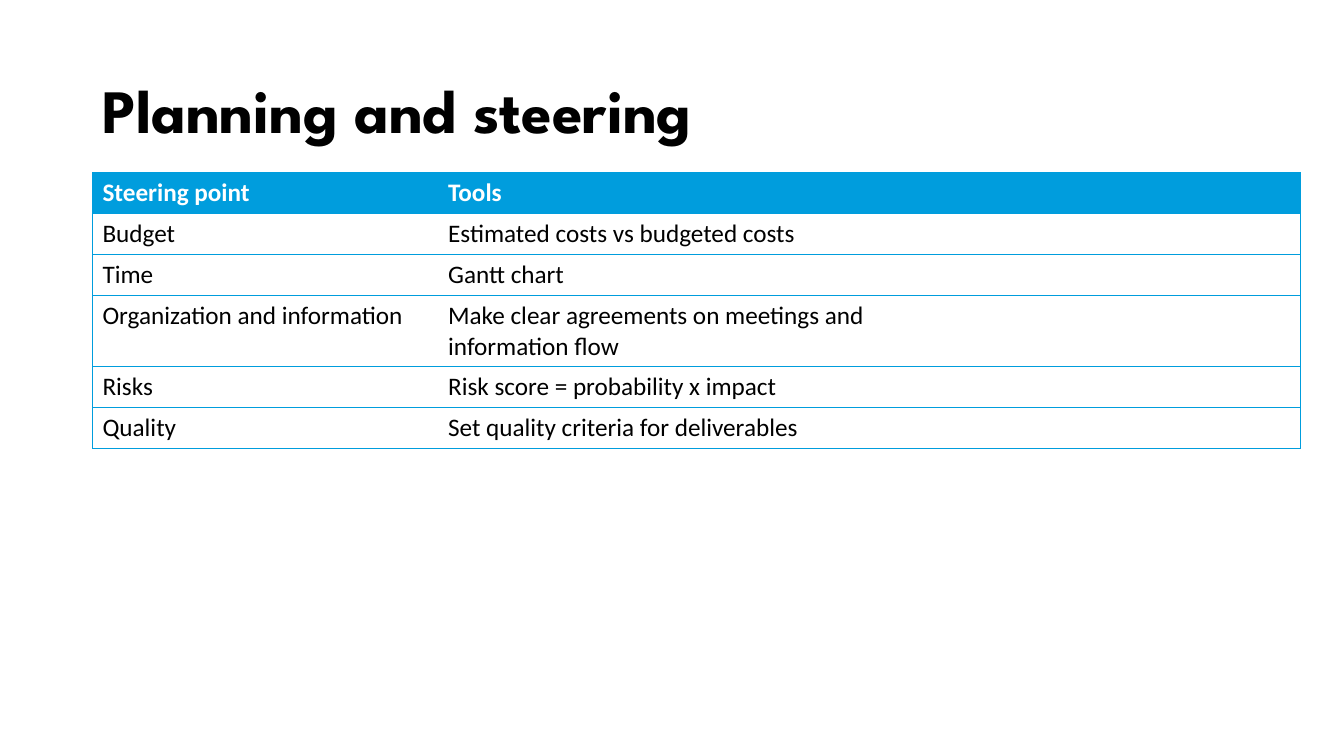
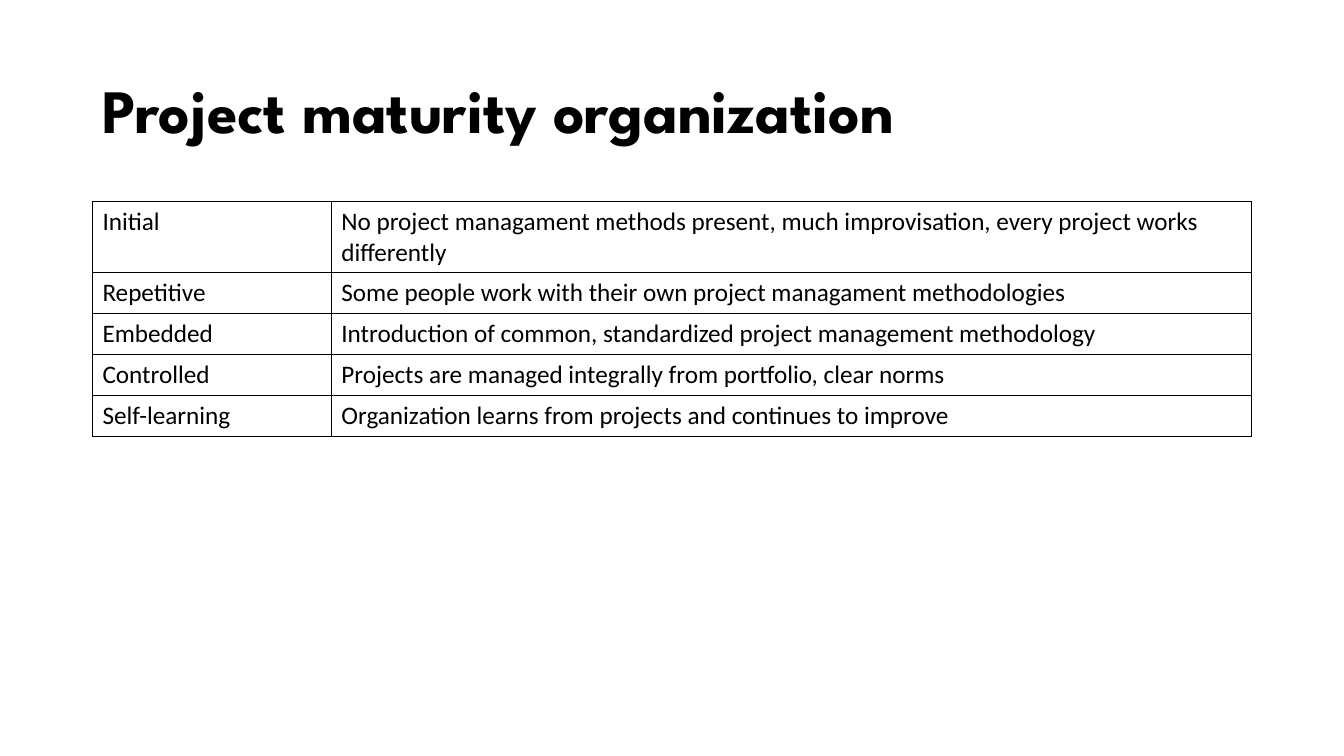
from lxml import etree
from pptx import Presentation
from pptx import util as u
from pptx.dml.color import RGBColor
from pptx.enum import text
from pptx.oxml.ns import qn

BLACK = RGBColor(0x00, 0x00, 0x00)
WHITE = RGBColor(0xFF, 0xFF, 0xFF)
BLUE = RGBColor(0x00, 0x9D, 0xDD)
TITLE_FONT, BODY_FONT = "League Spartan", "Calibri"

# Content: a row is a tuple of cells
SLIDES = [
    dict(
        title="Planning and steering",
        rows=[
            ("Steering point", "Tools", ""),
            ("Budget", "Estimated costs vs budgeted costs", ""),
            ("Time", "Gantt chart", ""),
            ("Organization and information",
             "Make clear agreements on meetings and information flow", ""),
            ("Risks", "Risk score = probability x impact", ""),
            ("Quality", "Set quality criteria for deliverables", ""),
        ],
        top=4.35, columns=(8.71, 11.38, 10.36), tall_row=3,
        header=True, line=BLUE, line_width=0.5, inner_verticals=False,
    ),
    dict(
        title="Project maturity organization",
        rows=[
            ("Initial", "No project managament methods present, much "
             "improvisation, every project works differently"),
            ("Repetitive", "Some people work with their own project "
             "managament methodologies"),
            ("Embedded", "Introduction of common, standardized project "
             "management methodology"),
            ("Controlled", "Projects are managed integrally from portfolio, "
             "clear norms"),
            ("Self-learning", "Organization learns from projects and "
             "continues to improve"),
        ],
        top=5.07, columns=(6.02, 23.19), tall_row=0,
        header=False, line=BLACK, line_width=1, inner_verticals=True,
    ),
]

# Shared layout, in centimetres
LEFT = 2.33
TITLE_TOP, TITLE_WIDTH, TITLE_HEIGHT = 1.01, 29.21, 3.68
ROW_HEIGHT, TALL_ROW_HEIGHT = 1.03, 1.8


def write(frame, content, size=18, font=BODY_FONT, color=BLACK, bold=False,
          line_spacing=None):
    paragraph = frame.paragraphs[0]
    paragraph.line_spacing = line_spacing
    run = paragraph.add_run()
    run.text = content
    run.font.size = u.Pt(size)
    run.font.name = font
    run.font.bold = bold
    run.font.color.rgb = color


def set_border(cell, side, color, width):
    """Draw one side of a cell; a color of None leaves it open."""
    properties = cell._tc.get_or_add_tcPr()
    line = etree.SubElement(properties, qn(f"a:ln{side}"), w=str(u.Pt(width)))
    if color is None:
        etree.SubElement(line, qn("a:noFill"))
    else:
        fill = etree.SubElement(line, qn("a:solidFill"))
        etree.SubElement(fill, qn("a:srgbClr"), val=str(color))


def add_title(slide, title):
    box = slide.shapes.add_textbox(u.Cm(LEFT), u.Cm(TITLE_TOP),
                                   u.Cm(TITLE_WIDTH), u.Cm(TITLE_HEIGHT))
    frame = box.text_frame
    frame.word_wrap = True
    frame.vertical_anchor = text.MSO_ANCHOR.MIDDLE
    write(frame, title, size=44, font=TITLE_FONT, bold=True, line_spacing=0.9)


def add_grid(slide, content):
    rows, columns = content["rows"], content["columns"]
    heights = [TALL_ROW_HEIGHT if index == content["tall_row"] else ROW_HEIGHT
               for index in range(len(rows))]
    table = slide.shapes.add_table(
        len(rows), len(columns), u.Cm(LEFT), u.Cm(content["top"]),
        u.Cm(sum(columns)), u.Cm(sum(heights))).table
    table.first_row = content["header"]
    table.horz_banding = False
    for column, width in zip(table.columns, columns):
        column.width = u.Cm(width)
    for row, height in zip(table.rows, heights):
        row.height = u.Cm(height)

    last = len(columns) - 1
    for row_index, values in enumerate(rows):
        is_header = content["header"] and row_index == 0
        for column_index, value in enumerate(values):
            cell = table.cell(row_index, column_index)
            # Borders go before the fill in the cell properties
            drawn = {
                "L": content["inner_verticals"] or column_index == 0,
                "R": content["inner_verticals"] or column_index == last,
                "T": True,
                "B": True,
            }
            for side, visible in drawn.items():
                set_border(cell, side, content["line"] if visible else None,
                           content["line_width"])
            if is_header:
                cell.fill.solid()
                cell.fill.fore_color.rgb = BLUE
            else:
                cell.fill.background()
            if value:
                write(cell.text_frame, value, bold=is_header,
                      color=WHITE if is_header else BLACK)


def main():
    presentation = Presentation()
    presentation.slide_width = u.Cm(33.87)
    presentation.slide_height = u.Cm(19.05)
    blank = presentation.slide_layouts[6]
    for content in SLIDES:
        slide = presentation.slides.add_slide(blank)
        add_title(slide, content["title"])
        add_grid(slide, content)
    presentation.save("out.pptx")


if __name__ == "__main__":
    main()
